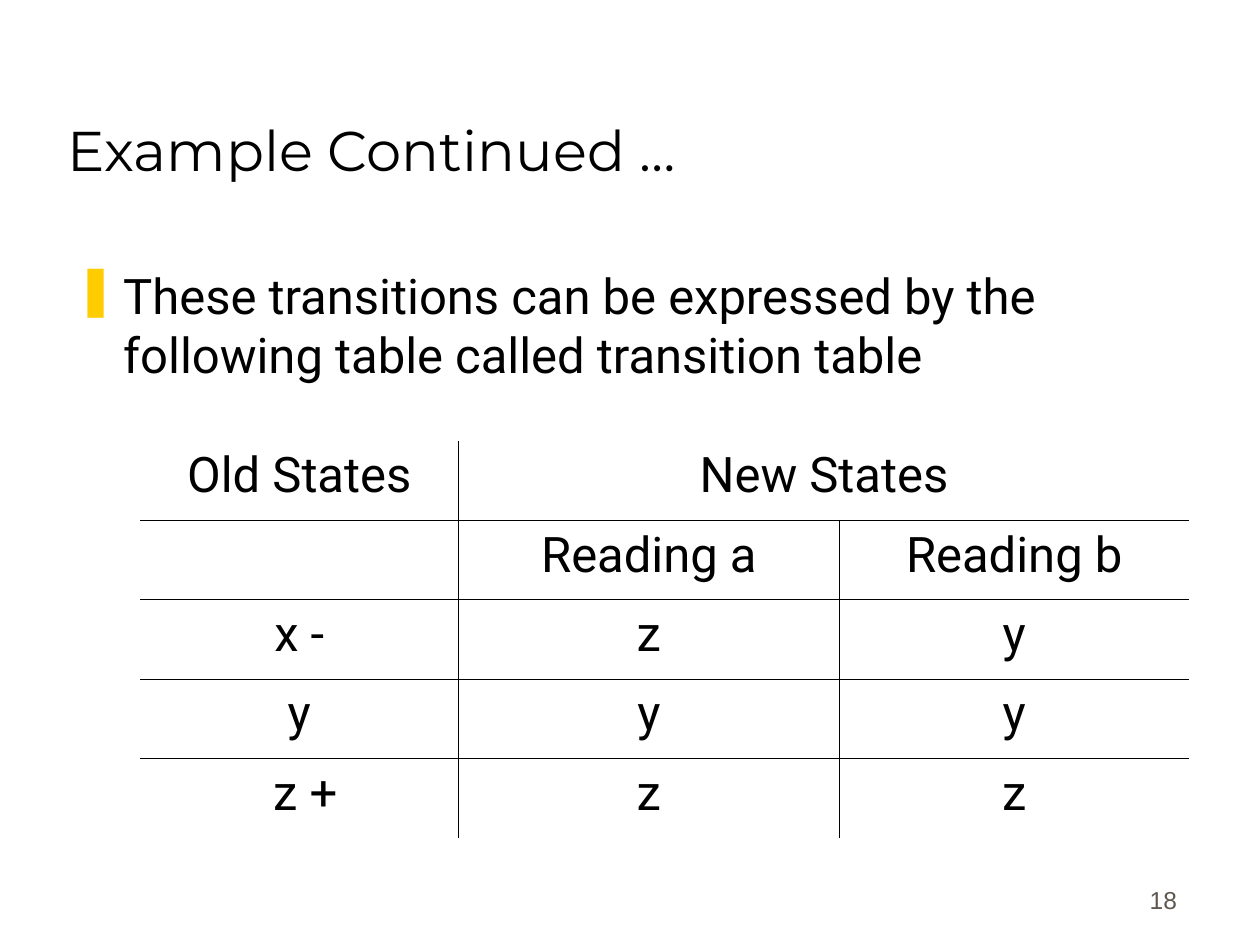
"""Build the transition table slide."""
import pptx
import pptx.dml.color
import pptx.enum.text
import pptx.oxml
import pptx.oxml.ns
import pptx.util

Inches = pptx.util.Inches
Pt = pptx.util.Pt
ALIGN = pptx.enum.text.PP_ALIGN
ANCHOR = pptx.enum.text.MSO_ANCHOR
HUES = {"ink": "000000", "mark": "FFCC00", "page": "5E574E"}
FONTS = {
    "title": {"name": "Montserrat", "size": Pt(32), "bold": False},
    "body": {"name": "Roboto", "size": Pt(28), "bold": False},
    "page": {"name": "Arial", "size": Pt(14), "bold": False},
}
NS = pptx.oxml.ns.nsdecls("a")


def style(para, font, hue, align):
    para.alignment = align
    for key, value in FONTS[font].items():
        setattr(para.font, key, value)
    para.font.color.rgb = pptx.dml.color.RGBColor.from_string(HUES[hue])


deck = pptx.Presentation()
deck.slide_width, deck.slide_height = Inches(10), Inches(7.5)
slide = deck.slides.add_slide(deck.slide_layouts[6])

texts = [
    ("Example Continued …", (0.44, 0.25, 8.5, 1.25), "title", "ink", ALIGN.LEFT, ANCHOR.BOTTOM),
    ("These transitions can be expressed by the following table called transition table",
     (0.5, 2.06, 8.5, 1.2), "body", "ink", ALIGN.LEFT, ANCHOR.TOP),
    ("18", (7.36, 6.81, 2.08, 0.5), "page", "page", ALIGN.RIGHT, ANCHOR.BOTTOM),
]
for text, place, font, hue, align, anchor in texts:
    frame = slide.shapes.add_textbox(*map(Inches, place)).text_frame
    frame.word_wrap = True
    frame.vertical_anchor = anchor
    para = frame.paragraphs[0]
    para.text = text
    if font == "body":
        props = para._p.get_or_add_pPr()
        props.set("marL", str(Inches(0.38)))
        props.set("indent", str(Inches(-0.38)))
        for xml in (f'<a:buClr {NS}><a:srgbClr val="{HUES["mark"]}"/></a:buClr>',
                    f'<a:buChar {NS} char="❚"/>'):
            props.append(pptx.oxml.parse_xml(xml))
    style(para, font, hue, align)

rows = [
    ["Old States", "New States", ""],
    ["", "Reading a", "Reading b"],
    ["x -", "z", "y"],
    ["y", "y", "y"],
    [" z +", "z", "z"],
]
widths = [2.53, 3.02, 2.78]
place = (1.11, 3.5, sum(widths), 0.63 * len(rows))
table = slide.shapes.add_table(len(rows), len(widths), *map(Inches, place)).table
table.first_row = table.horz_banding = False
for col, width in zip(table.columns, widths):
    col.width = Inches(width)
for row in table.rows:
    row.height = Inches(0.63)
table.cell(0, 1).merge(table.cell(0, 2))

for r, row in enumerate(rows):
    for c, text in enumerate(row):
        cell = table.cell(r, c)
        if not cell.is_spanned:
            para = cell.text_frame.paragraphs[0]
            para.text = text
            style(para, "body", "ink", ALIGN.CENTER)
        props = cell._tc.get_or_add_tcPr()
        edges = {
            "L": c > 0 and not cell.is_spanned,
            "R": c < len(widths) - 1 and not cell.is_merge_origin,
            "T": r > 0,
            "B": r < len(rows) - 1,
        }
        for side, drawn in edges.items():
            fill = f'<a:solidFill><a:srgbClr val="{HUES["ink"]}"/></a:solidFill>' if drawn else "<a:noFill/>"
            props.append(pptx.oxml.parse_xml(f'<a:ln{side} {NS} w="{Pt(0.45)}">{fill}</a:ln{side}>'))
        cell.fill.background()

deck.save("out.pptx")
